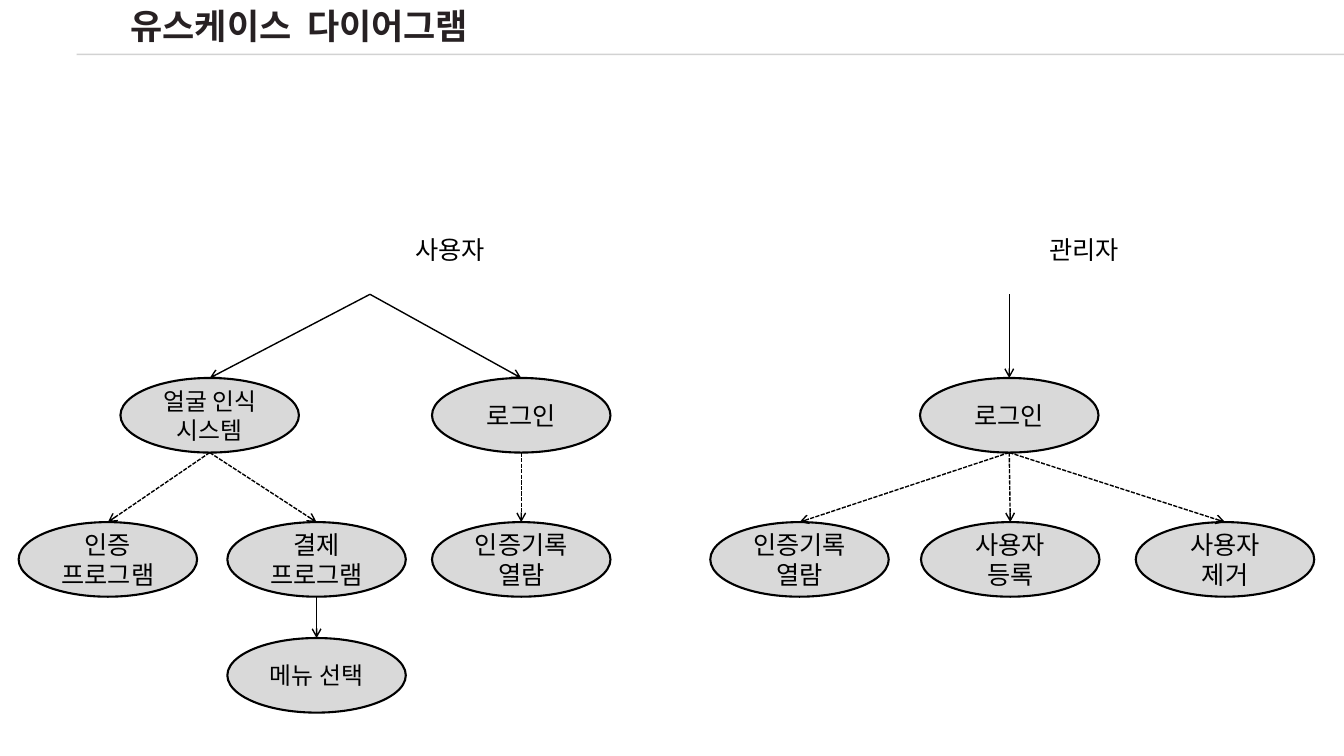
from lxml import etree
from pptx import Presentation
from pptx.dml.color import RGBColor
from pptx.enum.dml import MSO_LINE
from pptx.enum.shapes import MSO_CONNECTOR, MSO_SHAPE
from pptx.enum.text import MSO_ANCHOR, MSO_AUTO_SIZE, PP_ALIGN
from pptx.oxml.ns import qn
from pptx.util import Inches, Pt

STRAIGHT, ELLIPSE = MSO_CONNECTOR.STRAIGHT, MSO_SHAPE.OVAL
DASH, SOLID = MSO_LINE.SQUARE_DOT, MSO_LINE.SOLID
CENTER, LEFT = PP_ALIGN.CENTER, PP_ALIGN.LEFT
MIDDLE, TOP = MSO_ANCHOR.MIDDLE, MSO_ANCHOR.TOP

COLORS = {"title": "272123", "ink": "000000", "oval": "D9D9D9", "rule": "A6A6A6"}
TITLE_FONT, BODY_FONT = "Noto Sans CJK KR", "Calibri"

TITLE = "유스케이스  다이어그램"
# actor: label, label left, x where its arrows start
ACTORS = {
    "user": ("사용자", 4.02, 3.67),
    "admin": ("관리자", 10.31, 10.01),
}
# use case: paragraphs, centre x, row, text size
USE_CASES = {
    "face": (["얼굴 인식 시스템"], 2.08, 0, 17),
    "user login": (["로그인"], 5.17, 0, 18),
    "admin login": (["로그인"], 10.01, 0, 18),
    "verify": (["인증", "프로그램"], 1.07, 1, 18),
    "pay": (["결제", "프로그램"], 3.14, 1, 18),
    "user log": (["인증기록 열람"], 5.17, 1, 18),
    "admin log": (["인증기록", "열람"], 7.93, 1, 18),
    "register": (["사용자 등록"], 10.02, 1, 18),
    "remove": (["사용자 제거"], 12.15, 1, 18),
    "menu": (["메뉴 선택"], 3.14, 2, 17),
}
ARROWS = [
    ("user", "face", SOLID), ("user", "user login", SOLID),
    ("admin", "admin login", SOLID),
    ("face", "verify", DASH), ("face", "pay", DASH),
    ("user login", "user log", DASH),
    ("admin login", "admin log", DASH), ("admin login", "register", DASH),
    ("admin login", "remove", DASH),
    ("pay", "menu", SOLID),
]
SLIDE_W, SLIDE_H = 13.33, 7.5
ROW_TOPS = [3.75, 5.18, 6.33]
OVAL_W, OVAL_H = 1.77, 0.74
ACTOR_TOP, ACTOR_FOOT = 2.28, 2.92
RULE_LEFT, RULE_Y = 0.76, 0.54


def color(name):
    return RGBColor.from_string(COLORS[name])


def set_alpha(parent, percent):
    """Give every RGB colour below parent this opacity."""
    for rgb in parent.iter(qn("a:srgbClr")):
        etree.SubElement(rgb, qn("a:alpha")).set("val", str(percent * 1000))


def write(frame, lines, size, align=CENTER, anchor=MIDDLE, font=BODY_FONT,
          ink="ink", bold=False):
    frame.word_wrap = True
    frame.auto_size = MSO_AUTO_SIZE.NONE
    frame.vertical_anchor = anchor
    for i, line in enumerate(lines):
        paragraph = frame.add_paragraph() if i else frame.paragraphs[0]
        paragraph.alignment = align
        run = paragraph.add_run()
        run.text = line
        run.font.size, run.font.name, run.font.bold = Pt(size), font, bold
        run.font.color.rgb = color(ink)


def draw_line(slide, start, end, ink="ink", dash=SOLID, arrow=False):
    line = slide.shapes.add_connector(
        STRAIGHT, *(Inches(v) for v in (*start, *end)))
    line.line.color.rgb = color(ink)
    line.line.width = Pt(1)
    line.line.dash_style = dash
    properties = line._element.spPr
    etree.SubElement(properties, qn("a:effectLst"))
    if arrow:
        etree.SubElement(properties.find(qn("a:ln")), qn("a:tailEnd")).set("type", "arrow")
    return line


def add_title(slide):
    title = slide.shapes.title
    title.left, title.top = Inches(0.74), Inches(0)
    title.width, title.height = Inches(4.46), Inches(0.51)
    write(title.text_frame, [TITLE], 25, font=TITLE_FONT, ink="title", bold=True)
    properties = title.text_frame.paragraphs[0].runs[0].font._element
    properties.find(qn("a:latin")).addnext(
        etree.Element(qn("a:ea"), typeface=TITLE_FONT))
    outline = etree.Element(qn("a:ln"), w=str(Pt(0.75)))
    fill = etree.SubElement(outline, qn("a:solidFill"))
    etree.SubElement(fill, qn("a:srgbClr")).set("val", COLORS["ink"])
    set_alpha(outline, 30)
    properties.insert(0, outline)


def add_actor(slide, label, left):
    box = slide.shapes.add_textbox(
        Inches(left), Inches(ACTOR_TOP), Inches(1), Inches(0.4))
    write(box.text_frame, [label], 18, align=LEFT, anchor=TOP)


def add_use_case(slide, lines, center, row, size):
    oval = slide.shapes.add_shape(
        ELLIPSE, Inches(center - OVAL_W / 2), Inches(ROW_TOPS[row]),
        Inches(OVAL_W), Inches(OVAL_H))
    oval.shadow.inherit = False
    oval.fill.solid()
    oval.fill.fore_color.rgb = color("oval")
    oval.line.color.rgb = color("ink")
    oval.line.width = Pt(1.5)
    write(oval.text_frame, lines, size)


def arrow_start(name):
    if name in ACTORS:
        return ACTORS[name][2], ACTOR_FOOT
    _, center, row, _ = USE_CASES[name]
    return center, ROW_TOPS[row] + OVAL_H


def main():
    deck = Presentation()
    deck.slide_width, deck.slide_height = Inches(SLIDE_W), Inches(SLIDE_H)
    slide = deck.slides.add_slide(deck.slide_layouts.get_by_name("Title Only"))
    rule = draw_line(slide, (SLIDE_W, RULE_Y), (RULE_LEFT, RULE_Y), ink="rule")
    set_alpha(rule._element.spPr, 50)
    add_title(slide)
    for label, left, _ in ACTORS.values():
        add_actor(slide, label, left)
    for use_case in USE_CASES.values():
        add_use_case(slide, *use_case)
    for source, target, dash in ARROWS:
        _, center, row, _ = USE_CASES[target]
        draw_line(slide, arrow_start(source), (center, ROW_TOPS[row]),
                  dash=dash, arrow=True)
    deck.save("out.pptx")


if __name__ == "__main__":
    main()
